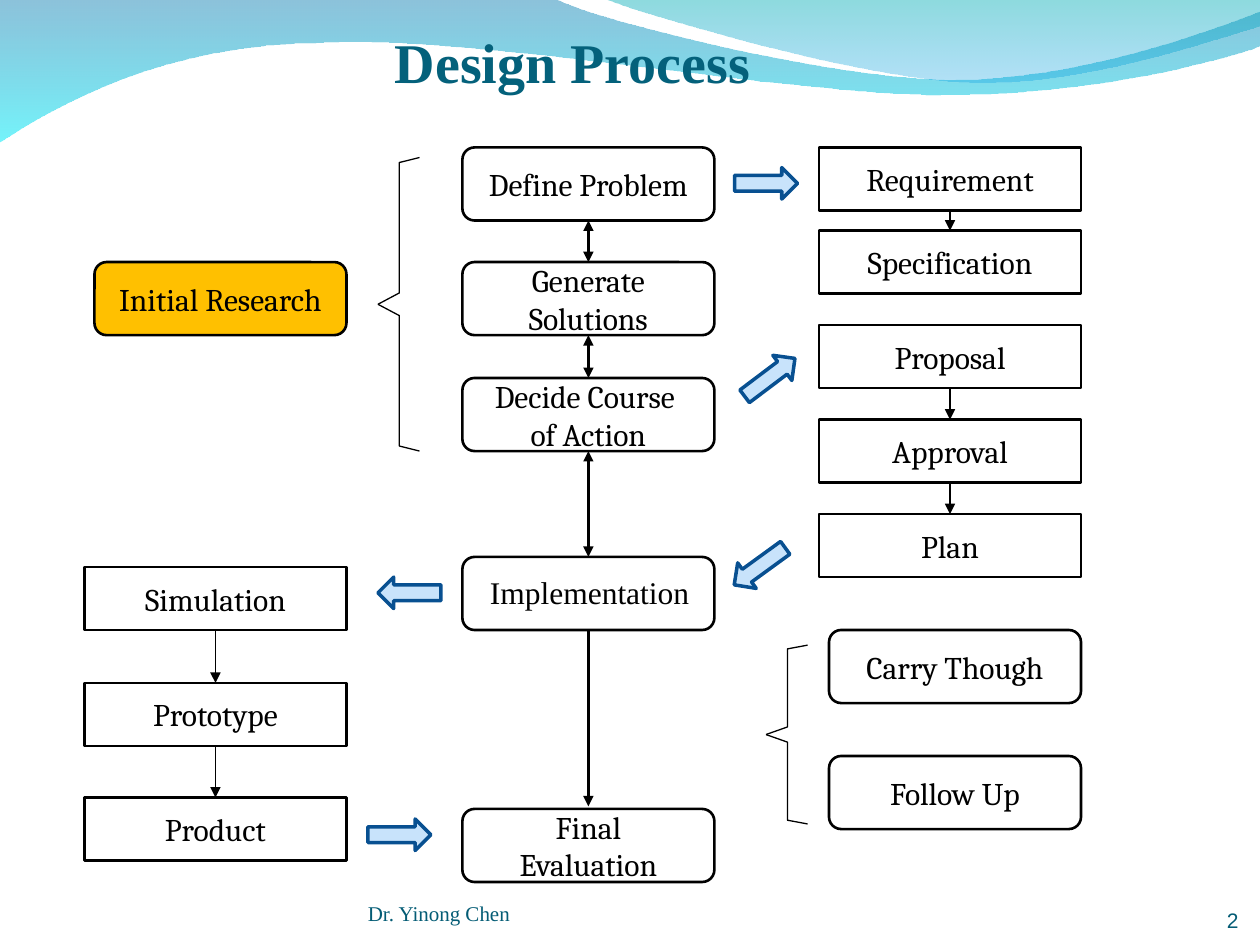
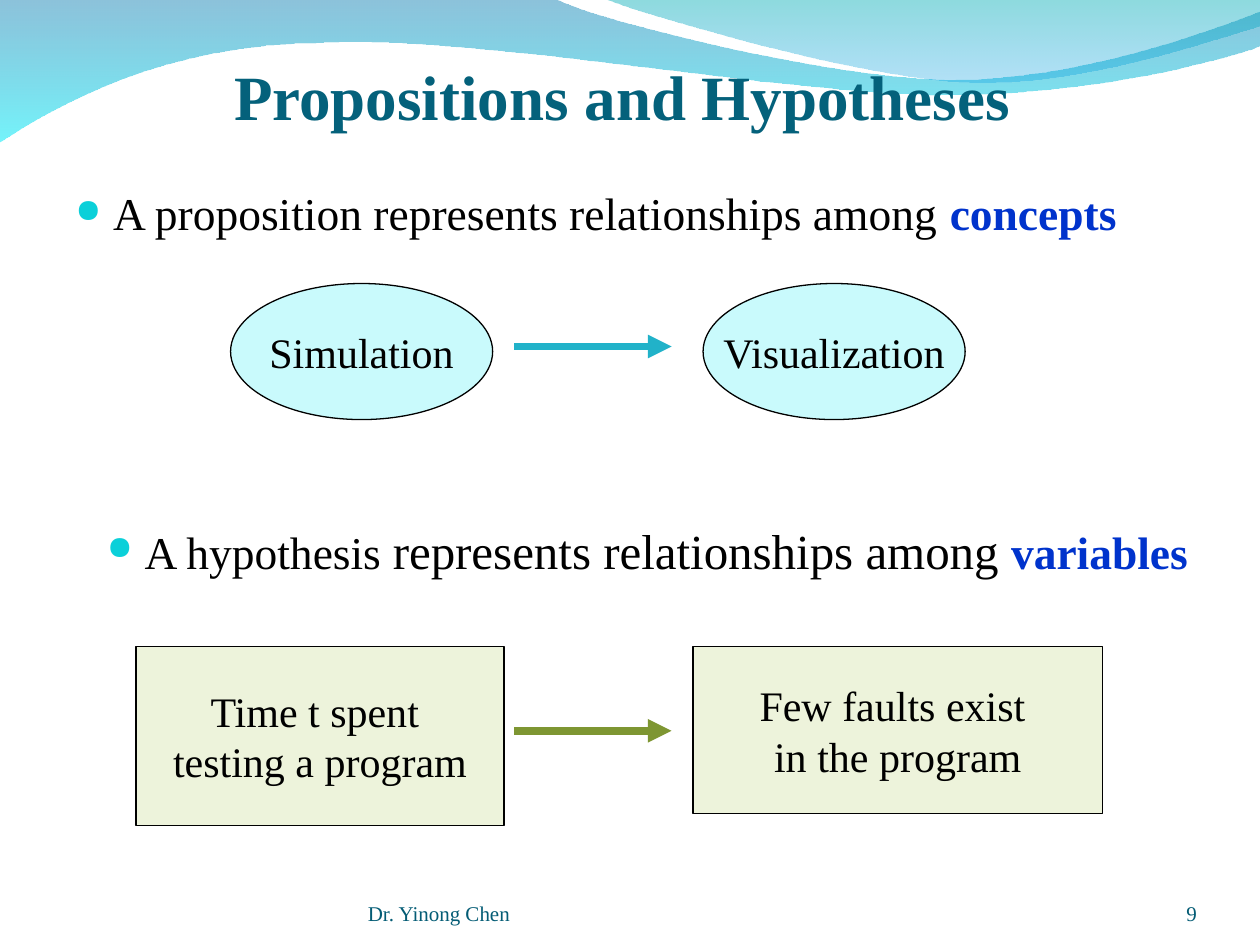
from lxml import etree
from pptx import Presentation
from pptx.dml.color import RGBColor
from pptx.enum import shapes, text
from pptx.oxml import ns
from pptx.util import Inches, Pt

BLACK = RGBColor(0x00, 0x00, 0x00)
WHITE = RGBColor(0xFF, 0xFF, 0xFF)
TITLE = RGBColor(0x04, 0x61, 0x7B)
FOOT = RGBColor(0x04, 0x5C, 0x75)
GOLD = RGBColor(0xFF, 0xC0, 0x00)
SKY = RGBColor(0xC8, 0xE3, 0xFB)
NAVY = RGBColor(0x08, 0x50, 0x91)
KEY = RGBColor(0x00, 0x33, 0xCC)
DOT = RGBColor(0x0B, 0xD0, 0xD9)
AQUA = RGBColor(0xC9, 0xFA, 0xFC)
TEAL = RGBColor(0x21, 0xB2, 0xC9)
LIME = RGBColor(0xED, 0xF3, 0xDB)
OLIVE = RGBColor(0x7E, 0x96, 0x32)
WAVE = [(RGBColor(0x00, 0x79, 0xAF), 45), (RGBColor(0x00, 0xEB, 0xF8), 55)]
CREST = [(RGBColor(0x00, 0xAD, 0xB6), 45), (RGBColor(0x00, 0x9B, 0xE5), 30)]

SERIF = "Times New Roman"
BOOK = "Cambria"
KIND = shapes.MSO_SHAPE
LEFT, MID, RIGHT = text.PP_ALIGN.LEFT, text.PP_ALIGN.CENTER, text.PP_ALIGN.RIGHT
TOP, CORE, BASE = (text.MSO_ANCHOR.TOP, text.MSO_ANCHOR.MIDDLE,
                   text.MSO_ANCHOR.BOTTOM)
PAD = (0.1, 0.05, 0.1, 0.05)
NONE = (0, 0, 0, 0)


def sub(parent, tag, **attrs):
    """Append a drawing element to its parent."""
    return etree.SubElement(parent, ns.qn("a:" + tag), attrs)


def write(frame, words, size=18, font=SERIF, color=BLACK, bold=False,
          align=MID, anchor=CORE, pad=PAD, wrap=True):
    """Fill a frame; words is a string or a list of (text, changes) runs."""
    frame.auto_size = text.MSO_AUTO_SIZE.NONE
    frame.word_wrap = wrap
    frame.vertical_anchor = anchor
    (frame.margin_left, frame.margin_top,
     frame.margin_right, frame.margin_bottom) = map(Inches, pad)
    lines = ([[(line, {})] for line in words.split("\n")]
             if isinstance(words, str) else [words])
    for i, runs in enumerate(lines):
        para = frame.add_paragraph() if i else frame.paragraphs[0]
        para.alignment = align
        for part, change in runs:
            run = para.add_run()
            run.text = part
            run.font.name = font
            run.font.size = Pt(change.get("size", size))
            run.font.bold = change.get("bold", bold)
            run.font.color.rgb = change.get("color", color)


def label(slide, area, words, **style):
    """Add a text box and return its frame."""
    frame = slide.shapes.add_textbox(*map(Inches, area)).text_frame
    write(frame, words, **style)
    return frame


def box(slide, kind, area, words="", fill=WHITE, line=BLACK, width=1.5,
        turn=0, **style):
    """Add a filled preset shape, with text if there is any."""
    shape = slide.shapes.add_shape(kind, *map(Inches, area))
    shape.shadow.inherit = False
    shape.fill.solid()
    shape.fill.fore_color.rgb = fill
    shape.line.color.rgb = line
    shape.line.width = Pt(width)
    shape.rotation = turn
    if words:
        write(shape.text_frame, words, **style)


def link(slide, start, end, color=BLACK, width=0.75, both=False):
    """Draw an arrow, with a second head at its start if both is set."""
    line = slide.shapes.add_connector(
        shapes.MSO_CONNECTOR.STRAIGHT, *map(Inches, start + end))
    line.line.color.rgb = color
    line.line.width = Pt(width)
    stroke = line.line._get_or_add_ln()
    if both:
        sub(stroke, "headEnd", type="triangle")
    sub(stroke, "tailEnd", type="triangle")
    sub(line._element.spPr, "effectLst")


def stack(slide, kind, x, wide, high, steps, width=0.75, both=False):
    """Draw a column of boxes joined by arrows."""
    for top, words in steps:
        box(slide, kind, (x, top, wide, high), words, font=BOOK)
    for (top, _), (low, _) in zip(steps, steps[1:]):
        link(slide, (x + wide / 2, top + high), (x + wide / 2, low),
             width=width, both=both)


def outline(slide, points, close=False):
    """Draw a freeform through points given in inches."""
    first, *rest = [(Inches(x), Inches(y)) for x, y in points]
    pen = slide.shapes.build_freeform(*first)
    pen.add_line_segments(rest, close=close)
    shape = pen.convert_to_shape()
    shape.shadow.inherit = False
    return shape


def brace(slide, x, top, low, lip, waist):
    """Draw an angular bracket that points left, as two mirrored halves."""
    mid, bend, end = (top + low) / 2, x + 0.17, x + 0.33
    for tip, sign in ((top, 1), (low, -1)):
        half = outline(slide, [(end, tip), (bend, tip + sign * lip),
                               (bend, mid - sign * waist), (x, mid)])
        half.fill.background()
        half.line.color.rgb = BLACK
        half.line.width = Pt(0.75)


def bend(shape, curves):
    """Turn three line segments into a cubic curve at each given index."""
    lines = list(shape._element.spPr.iter(ns.qn("a:lnTo")))
    for i in curves:
        trio = lines[i:i + 3]
        cubic = etree.Element(ns.qn("a:cubicBezTo"))
        trio[0].addprevious(cubic)
        for line in trio:
            cubic.append(line[0])
            line.getparent().remove(line)


def band(deck, slide, points, curves, stops):
    """Draw a translucent gradient band and move it to the master."""
    shape = outline(slide, points, close=True)
    bend(shape, curves)
    shape.line.fill.background()
    shape.fill.gradient()
    shape.fill.gradient_angle = 270
    for stop, (color, _) in zip(shape.fill.gradient_stops, stops):
        stop.color.rgb = color
    tints = shape._element.spPr.iter(ns.qn("a:srgbClr"))
    for tint, (_, part) in zip(list(tints), stops):
        sub(tint, "alpha", val=str(part * 1000))
    slide.shapes._spTree.remove(shape._element)
    deck.slide_master.shapes._spTree.insert(2, shape._element)


def waves(deck, slide):
    """Set the two header waves that all slides share."""
    band(deck, slide, [
        (4.79, -0.01), (5.09, 0.11), (6.82, 0.62), (7.69, 0.65),
        (8.56, 0.69), (9.61, 0.32), (10, 0.21), (10, 0)], (0, 3), CREST)
    band(deck, slide, [
        (0, -0.01), (4.4, -0.01),
        (4.76, 0.17), (6.64, 0.63), (7.58, 0.63),
        (8.53, 0.63), (9.58, 0.26), (10, 0.09), (10.01, 0.36),
        (9.83, 0.44), (8.7, 0.76), (7.46, 0.75),
        (6.22, 0.75), (3.82, 0.28), (2.57, 0.34),
        (1.29, 0.35), (0.46, 0.83), (-0.01, 1.13)], (1, 4, 8, 11, 14), WAVE)


def page(deck, words, area, size, number, spot, font=SERIF):
    """Add a slide with its title, footer and page number."""
    slide = deck.slides.add_slide(deck.slide_layouts[5])
    title = slide.shapes.title
    title.left, title.top, title.width, title.height = map(Inches, area)
    write(title.text_frame, words, size=size, color=TITLE, bold=True,
          anchor=BASE, pad=(0, 0.05, 0, 0))
    foot = dict(size=12, color=FOOT, anchor=BASE, pad=NONE)
    label(slide, (2.92, 6.95, 3.67, 0.4), "Dr. Yinong Chen", align=LEFT, **foot)
    label(slide, spot + (0.83, 0.4), number, align=RIGHT, font=font, **foot)
    return slide


def point(slide, x, y, runs):
    """Add a bulleted statement."""
    frame = label(slide, (x, y, 9, 0.83), runs, size=26, align=LEFT, anchor=TOP)
    para = frame.paragraphs[0]
    para.space_before = Pt(6.5)
    props = para._p.get_or_add_pPr()
    props.set("marL", str(Inches(0.3)))
    props.set("indent", str(Inches(-0.3)))
    sub(sub(props, "buClr"), "srgbClr", val=str(DOT))
    sub(props, "buSzPct", val="72000")
    sub(props, "buChar", char="●")


def process(slide):
    """Draw the design process flow."""
    x, wide, high, axis = 3.67, 2, 0.58, 4.67
    build, final = 4.42, 6.42
    stack(slide, KIND.ROUNDED_RECTANGLE, x, wide, high,
          [(1.17, "Define Problem"), (2.08, "Generate\nSolutions"),
           (3, "Decide Course \nof Action")], width=1.5, both=True)
    for area, words, fill in (
            ((x, build), "", WHITE),
            ((x, final), "Final\nEvaluation", WHITE),
            ((0.75, 2.08), "Initial Research", GOLD),
            ((6.58, 5), "Carry Though", WHITE),
            ((6.58, 6), "Follow Up", WHITE)):
        box(slide, KIND.ROUNDED_RECTANGLE, area + (wide, high), words,
            fill=fill, font=BOOK)
    label(slide, (3.79, 4.5, 1.78, 0.4), "Implementation", anchor=TOP,
          wrap=False)
    link(slide, (axis, 3 + high), (axis, build), width=1.5, both=True)
    link(slide, (axis, build + high), (axis, 6.4), width=1.5)

    for left, steps in (
            (6.5, [(1.17, "Requirement"), (1.83, "Specification")]),
            (6.5, [(2.58, "Proposal"), (3.33, "Approval"), (4.08, "Plan")]),
            (0.67, [(4.5, "Simulation"), (5.42, "Prototype"),
                    (6.33, "Product")])):
        stack(slide, KIND.RECTANGLE, left, 2.08, 0.5, steps)

    brace(slide, 3, 1.25, 3.58, 0.04, 0.09)
    brace(slide, 6.08, 5.12, 6.54, 0.03, 0.06)
    for kind, left, top, turn in (
            (KIND.RIGHT_ARROW, 5.83, 1.33, 0),
            (KIND.RIGHT_ARROW, 5.86, 2.87, 323),
            (KIND.LEFT_ARROW, 5.78, 4.37, 324),
            (KIND.LEFT_ARROW, 3, 4.58, 0),
            (KIND.RIGHT_ARROW, 2.92, 6.5, 0)):
        box(slide, kind, (left, top, 0.5, 0.25), fill=SKY, line=NAVY,
            width=2, turn=turn)


def claims(slide):
    """Draw the two statements and their examples."""
    key = dict(color=KEY, bold=True)
    point(slide, 0.5, 1.42, [
        ("A proposition represents relationships among ", {}),
        ("concepts", key)])
    point(slide, 0.75, 4.08, [
        ("A hypothesis ", {}),
        ("represents relationships among ", dict(size=28)),
        ("variables", key)])
    for kind, area, words, fill in (
            (KIND.OVAL, (1.83, 2.25, 2.08, 1.08), "Simulation", AQUA),
            (KIND.OVAL, (5.58, 2.25, 2.08, 1.08), "Visualization", AQUA),
            (KIND.RECTANGLE, (1.08, 5.13, 2.92, 1.42),
             "Time t spent \ntesting a program", LIME),
            (KIND.RECTANGLE, (5.5, 5.13, 3.25, 1.33),
             "Few faults exist \nin the program", LIME)):
        box(slide, kind, area, words, fill=fill, width=0.75, size=24,
            wrap=False)
    for y, color in ((2.75, TEAL), (5.8, OLIVE)):
        link(slide, (4.08, y), (5.33, y), color=color, width=4.5)


def main():
    """Build and save the deck."""
    deck = Presentation()
    deck.slide_width, deck.slide_height = Inches(10), Inches(7.5)
    first = page(deck, "Design Process", (1.92, 0.08, 5.25, 0.67), 32,
                 "2", (9, 7), font="Arial")
    waves(deck, first)
    process(first)
    claims(page(deck, "Propositions and Hypotheses ", (0.5, 0.5, 9, 0.56), 36,
                "9", (8.67, 6.95)))
    deck.save("out.pptx")


main()
